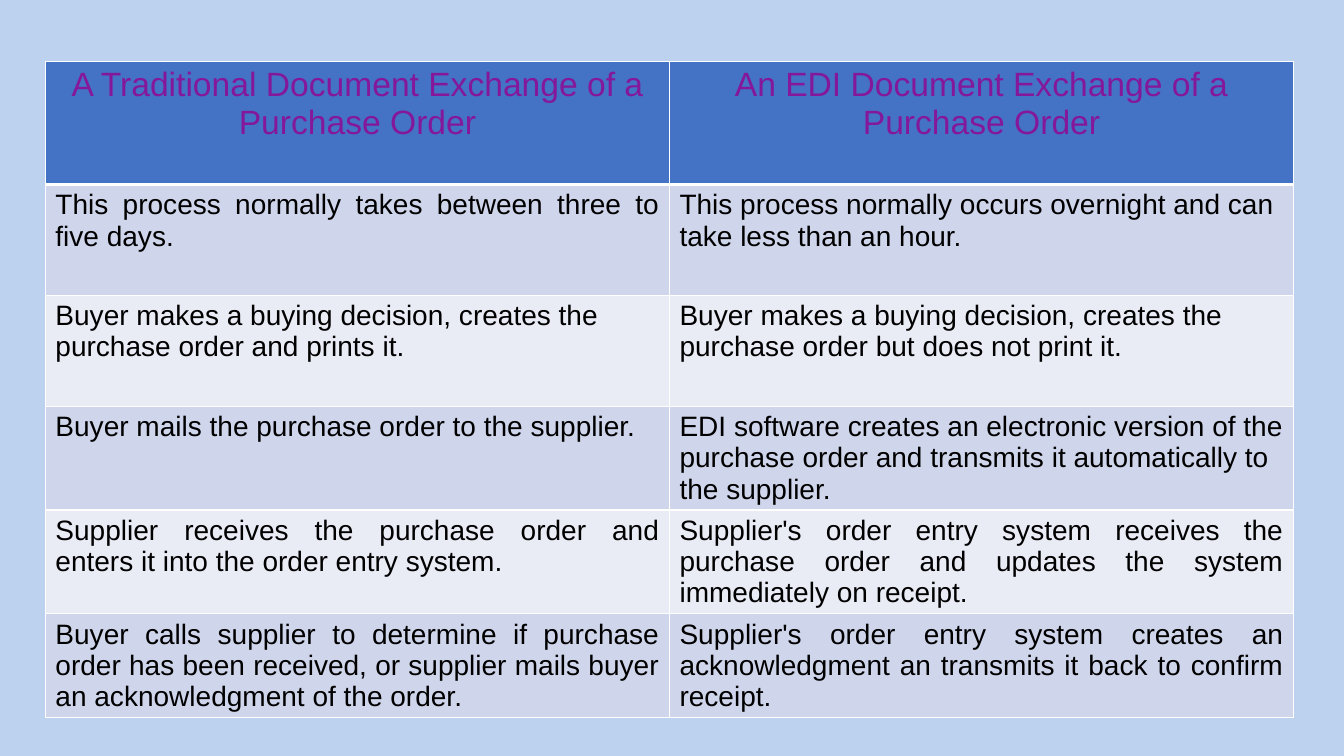
from dataclasses import dataclass

from lxml.etree import SubElement
from pptx import Presentation
from pptx.dml.color import RGBColor
from pptx.enum.text import PP_ALIGN
from pptx.oxml.ns import qn
from pptx.table import Table, _Cell
from pptx.util import Inches, Pt

COLORS = {
    "page": "BCD2EF",
    "header": "4472C4",
    "heading": "85189A",
    "odd": "CFD5EA",
    "even": "E9EBF5",
    "text": "000000",
    "border": "FFFFFF",
}

# Slide size and table grid, in inches
SLIDE_WIDTH, SLIDE_HEIGHT = 13.33, 7.5
TABLE_LEFT, TABLE_TOP = 0.45, 0.61
COLUMN_WIDTH = 6.19
ROW_HEIGHTS = [1.22, 1.1, 1.1, 1.03, 1.03, 1.03]

THIN, THICK = 1, 3
HEADING_FORMAT = {"name": "Arial", "size": Pt(24), "bold": False}
BODY_FORMAT = {"name": "Arial", "size": Pt(20), "bold": False}
LEFT, CENTER, JUSTIFY = PP_ALIGN.LEFT, PP_ALIGN.CENTER, PP_ALIGN.JUSTIFY


@dataclass
class Entry:
    """Cell text: \\n starts a paragraph, \\v breaks a line."""
    text: str
    align: PP_ALIGN = LEFT


ROWS = [
    (Entry("A Traditional Document Exchange of a\nPurchase Order", CENTER),
     Entry("An EDI Document Exchange of a\nPurchase Order", CENTER)),
    (Entry("This process normally takes between three to\vfive days.", JUSTIFY),
     Entry("This process normally occurs overnight and can take less than an hour.")),
    (Entry("Buyer makes a buying decision, creates the\npurchase order and prints it."),
     Entry("Buyer makes a buying decision, creates the\vpurchase order but does not print it.")),
    (Entry("Buyer mails the purchase order to the supplier."),
     Entry("EDI software creates an electronic version of the purchase order "
           "and transmits it automatically to\vthe supplier.")),
    (Entry("Supplier receives the purchase order and\venters it into the order entry system.", JUSTIFY),
     Entry("Supplier's order entry system receives the\vpurchase order and updates the system\v"
           "immediately on receipt.", JUSTIFY)),
    (Entry("Buyer calls supplier to determine if purchase\vorder has been received, "
           "or supplier mails buyer an acknowledgment of the order.", JUSTIFY),
     Entry("Supplier's order entry system creates an\vacknowledgment an transmits it back "
           "to confirm receipt.", JUSTIFY)),
]


def color(name: str) -> RGBColor:
    return RGBColor.from_string(COLORS[name])


def draw_borders(cell: _Cell, row: int) -> None:
    """Border the cell in white, with a thick rule below the header."""
    widths = {
        "a:lnL": THIN,
        "a:lnR": THIN,
        "a:lnT": THICK if row == 1 else THIN,
        "a:lnB": THICK if row == 0 else THIN,
    }
    properties = cell._tc.get_or_add_tcPr()
    for tag, width in widths.items():
        line = SubElement(properties, qn(tag), w=str(Pt(width)))
        fill = SubElement(line, qn("a:solidFill"))
        SubElement(fill, qn("a:srgbClr"), val=COLORS["border"])


def draw_cell(cell: _Cell, entry: Entry, row: int) -> None:
    """Fill one cell and set its text."""
    is_header = row == 0
    draw_borders(cell, row)
    cell.fill.solid()
    cell.fill.fore_color.rgb = color("header" if is_header else "odd" if row % 2 else "even")
    cell.text_frame.text = entry.text
    for para in cell.text_frame.paragraphs:
        para.alignment = entry.align
        for span in para.runs:
            for key, value in (HEADING_FORMAT if is_header else BODY_FORMAT).items():
                setattr(span.font, key, value)
            span.font.color.rgb = color("heading" if is_header else "text")


def draw_table(table: Table) -> None:
    """Size the grid and draw every cell."""
    for column in table.columns:
        column.width = Inches(COLUMN_WIDTH)
    for row, (height, entries) in enumerate(zip(ROW_HEIGHTS, ROWS)):
        table.rows[row].height = Inches(height)
        for column, entry in enumerate(entries):
            draw_cell(table.cell(row, column), entry, row)


def main() -> None:
    # Page
    deck = Presentation()
    deck.slide_width, deck.slide_height = Inches(SLIDE_WIDTH), Inches(SLIDE_HEIGHT)
    page = deck.slides.add_slide(deck.slide_layouts[6])
    page.background.fill.solid()
    page.background.fill.fore_color.rgb = color("page")

    # Comparison table
    columns = len(ROWS[0])
    frame = page.shapes.add_table(
        len(ROWS), columns, Inches(TABLE_LEFT), Inches(TABLE_TOP),
        Inches(columns * COLUMN_WIDTH), Inches(sum(ROW_HEIGHTS)))
    draw_table(frame.table)

    deck.save("out.pptx")


if __name__ == "__main__":
    main()
